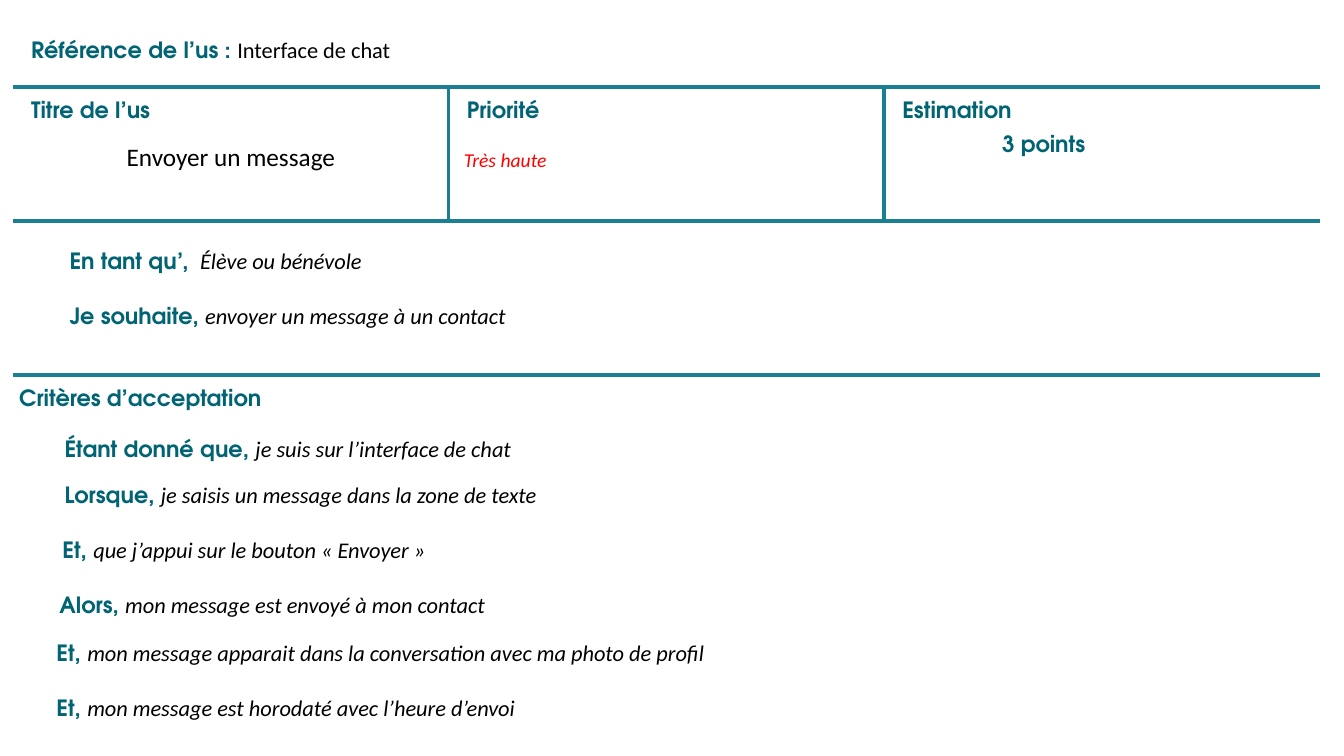
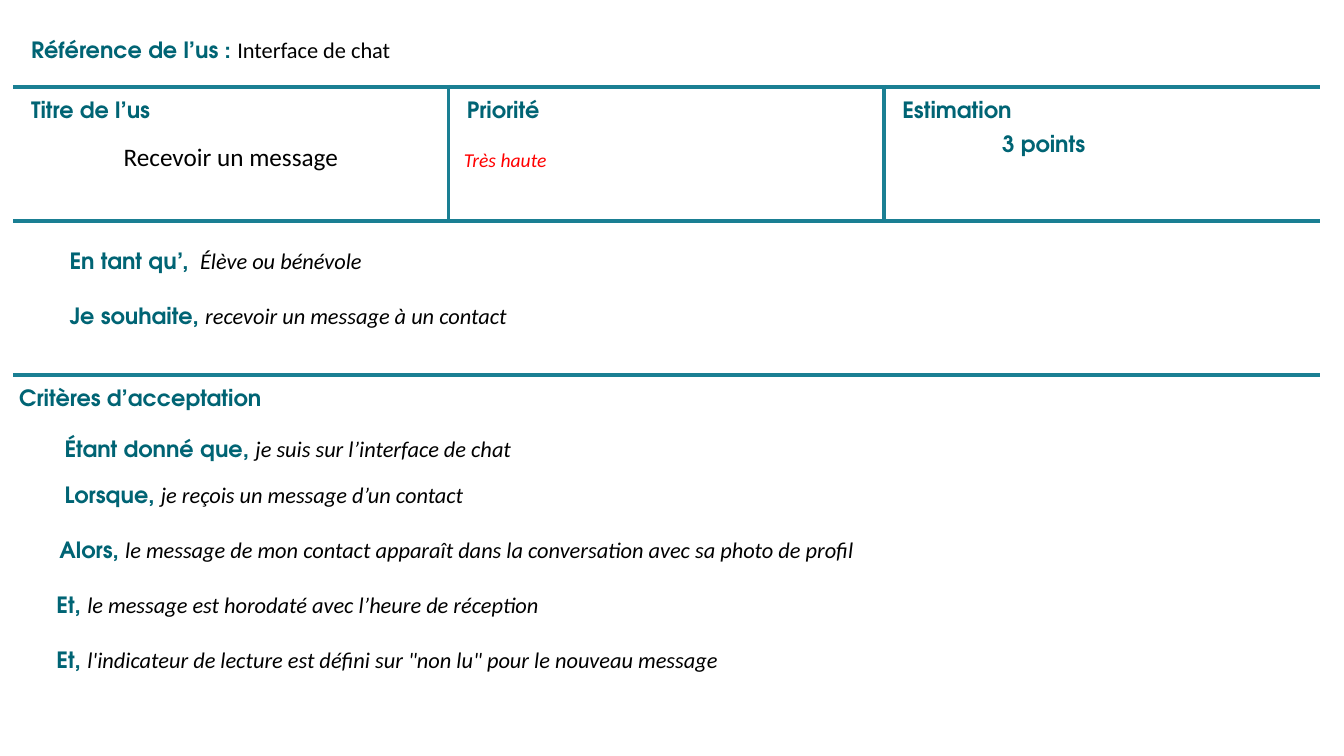
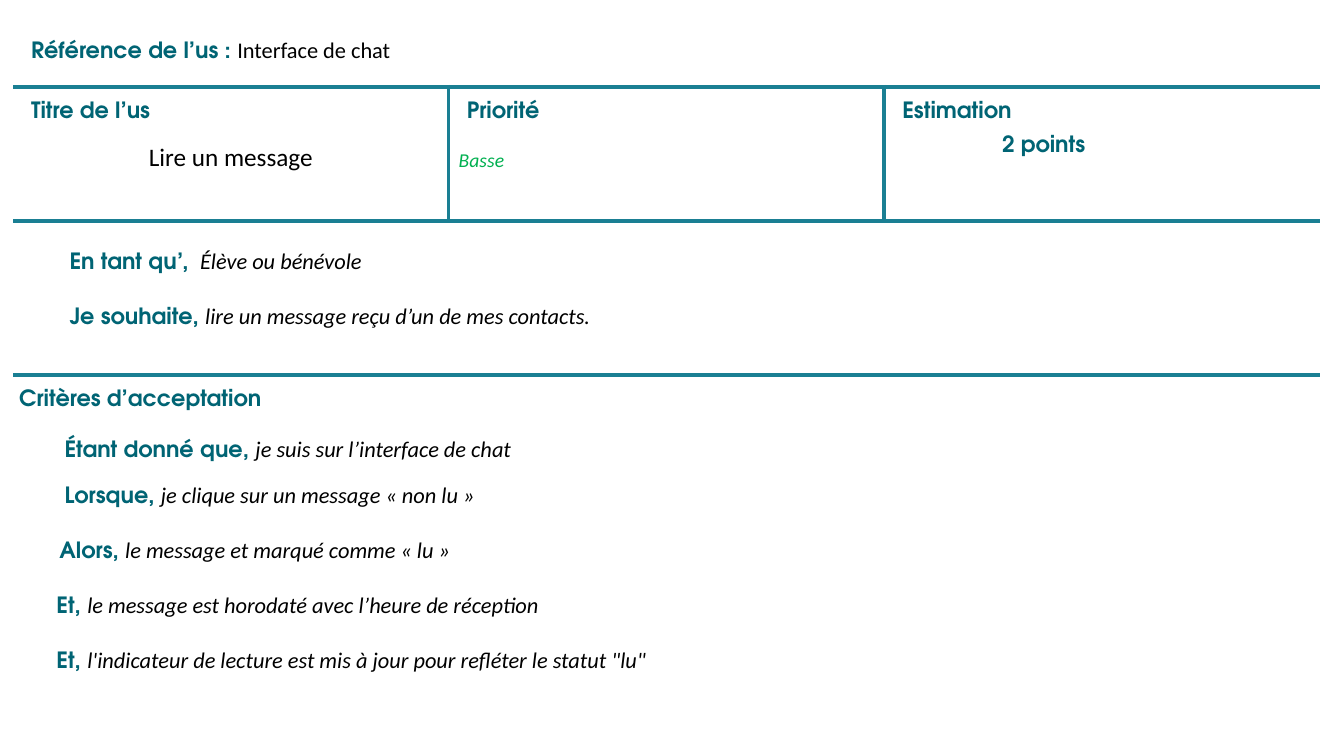
from dataclasses import dataclass

from lxml.etree import SubElement
from pptx import Presentation
from pptx.dml.color import RGBColor
from pptx.enum.text import MSO_ANCHOR, PP_ALIGN
from pptx.oxml.ns import qn
from pptx.util import Inches, Pt

COLORS = {
    "label": "006474",
    "rule": "1A7F93",
    "body": "000000",
    "paper": "FFFFFF",
    "high": "FF0000",
    "low": "00B050",
}
LABEL = {"name": "TeX Gyre Adventor", "size": Pt(16), "bold": True, "italic": False}
PLAIN = {"name": "Calibri", "size": Pt(16), "bold": False, "italic": False}
DETAIL = PLAIN | {"italic": True}
STORY_TITLE = PLAIN | {"size": Pt(18)}
PRIORITY = DETAIL | {"size": Pt(14)}

COLUMN_WIDTH = 4.32
ROW_HEIGHTS = (0.69, 1.33, 1.53, 2.42)
HEADING_INDENT = 0.12
FULL_GAP = 19.6  # points between two separate lines


@dataclass
class Span:
    text: str
    style: dict
    color: str = "body"


@dataclass
class Line:
    spans: list[Span]
    indent: float = 0
    gap: float = FULL_GAP
    align: PP_ALIGN = PP_ALIGN.LEFT


@dataclass
class Criterion:
    label: str
    detail: str
    indent: float = 0.37
    gap: float = FULL_GAP


@dataclass
class Story:
    title: str
    priority: Span
    priority_indent: float
    points: str
    wish: str
    criteria: list[Criterion]
    height: float


def label(text: str) -> Span:
    return Span(text, LABEL, "label")


def heading(text: str, gap: float) -> Line:
    return Line([label(text)], HEADING_INDENT, gap)


def clause(name: str, detail: str, indent: float, gap: float = FULL_GAP) -> Line:
    return Line([label(name + " "), Span(detail, DETAIL)], indent, gap)


def write_cell(cell, lines: list[Line]) -> None:
    """The first gap becomes the top margin, later ones paragraph spacing."""
    margins = {
        "margin_left": Inches(0.06),
        "margin_right": Inches(0.06),
        "margin_top": Pt(lines[0].gap),
        "margin_bottom": 0,
        "vertical_anchor": MSO_ANCHOR.TOP,
    }
    for key, value in margins.items():
        setattr(cell, key, value)
    for index, line in enumerate(lines):
        paragraph = cell.text_frame.paragraphs[0] if index == 0 else cell.text_frame.add_paragraph()
        paragraph.alignment = line.align
        paragraph.space_before = Pt(line.gap if index else 0)
        properties = paragraph._p.get_or_add_pPr()
        properties.set("marL", str(Inches(line.indent)))
        properties.set("indent", "0")
        for span in line.spans:
            run = paragraph.add_run()
            run.text = span.text
            for key, value in span.style.items():
                setattr(run.font, key, value)
            run.font.color.rgb = RGBColor.from_string(COLORS[span.color])


def dress_cell(cell, ruled_sides: str) -> None:
    """Rule the given sides (of L, R, T, B), then fill the cell."""
    properties = cell._tc.get_or_add_tcPr()
    for side in "LRTB":
        border = SubElement(properties, qn(f"a:ln{side}"), w=str(Pt(3)))
        if side in ruled_sides:
            fill = SubElement(border, qn("a:solidFill"))
            SubElement(fill, qn("a:srgbClr"), val=COLORS["rule"])
        else:
            SubElement(border, qn("a:noFill"))
    cell.fill.solid()
    cell.fill.fore_color.rgb = RGBColor.from_string(COLORS["paper"])


def draw_story(deck, story: Story) -> None:
    slide = deck.slides.add_slide(deck.slide_layouts[6])
    frame = slide.shapes.add_table(
        len(ROW_HEIGHTS), 3, Inches(0.13), Inches(0.17), Inches(3 * COLUMN_WIDTH), Inches(story.height)
    )
    card = frame.table
    card.first_row = card.horz_banding = False
    for column in card.columns:
        column.width = Inches(COLUMN_WIDTH)
    for row, height in zip(card.rows, ROW_HEIGHTS):
        row.height = Inches(height)
    frame.height = Inches(story.height)

    # Rules around the three middle cells and between the full-width rows
    for row, sides in enumerate((("B",) * 3, ("RTB", "LRTB", "LTB"), ("TB",) * 3, ("T",) * 3)):
        for column, ruled in enumerate(sides):
            dress_cell(card.cell(row, column), ruled)
    for row in (0, 2, 3):
        card.cell(row, 0).merge(card.cell(row, 2))

    # Reference
    reference = heading("Référence de l’us\u00a0: ", 14.5)
    reference.spans.append(Span("Interface de chat", PLAIN))
    write_cell(card.cell(0, 0), [reference])

    # Title, priority, estimate
    summary = (
        ("Titre de l’us", Line([Span(story.title, STORY_TITLE)], gap=14.2, align=PP_ALIGN.CENTER)),
        ("Priorité", Line([story.priority], story.priority_indent, 19)),
        ("Estimation", Line([label(story.points)], 1.11, 9.7)),
    )
    for column, (name, content) in enumerate(summary):
        write_cell(card.cell(1, column), [heading(name, 10.9), content])

    # Role and wish
    write_cell(card.cell(2, 0), [
        clause("En tant qu’,", "\u00a0Élève ou bénévole", 0.5),
        clause("Je souhaite,", story.wish, 0.5),
    ])

    # Acceptance criteria
    criteria = [Criterion("Étant donné que,", "je suis sur l’interface de chat", 0.45, 18.2)]
    criteria += story.criteria
    write_cell(card.cell(3, 0), [Line([label("Critères d’acceptation")], gap=10.9)] + [
        clause(item.label, item.detail, item.indent, item.gap) for item in criteria
    ])


def when(detail: str) -> Criterion:
    return Criterion("Lorsque,", detail, 0.45, 13.3)


def then(detail: str) -> Criterion:
    return Criterion("Alors,", detail, 0.4)


VERY_HIGH = Span("Très haute", PRIORITY, "high")
RECEIVED_TIME = Criterion("Et,", "le message est horodaté avec l’heure de réception")

STORIES = [
    Story(
        "Envoyer un message", VERY_HIGH, 0.09, "3 points",
        "envoyer un message à un contact",
        [
            when("je saisis un message dans la zone de texte"),
            Criterion("Et,", "que j’appui sur le bouton «\u00a0Envoyer\u00a0»", 0.43),
            then("mon message est envoyé à mon contact"),
            Criterion("Et,", "mon message apparait dans la conversation avec ma photo de profil", gap=14.7),
            Criterion("Et,", "mon message est horodaté avec l’heure d’envoi"),
        ],
        7.23,
    ),
    Story(
        "Recevoir un message", VERY_HIGH, 0.09, "3 points",
        "recevoir un message à un contact",
        [
            when("je reçois un message d’un contact"),
            then("le message de mon contact apparaît dans la conversation avec sa photo de profil"),
            RECEIVED_TIME,
            Criterion("Et,", "l'indicateur de lecture est défini sur \"non lu\" pour le nouveau message"),
        ],
        6.7,
    ),
    Story(
        "Lire un message", Span("Basse", PRIORITY, "low"), 0.04, "2 points",
        "lire un message reçu d’un de mes contacts.",
        [
            when("je clique sur un message «\u00a0non lu\u00a0»"),
            then("le message et marqué comme «\u00a0lu\u00a0»"),
            RECEIVED_TIME,
            Criterion("Et,", "l'indicateur de lecture est mis à jour pour refléter le statut \"lu\""),
        ],
        6.7,
    ),
]

presentation = Presentation()
presentation.slide_width = Inches(13.33)
presentation.slide_height = Inches(7.5)
for user_story in STORIES:
    draw_story(presentation, user_story)
presentation.save("out.pptx")
